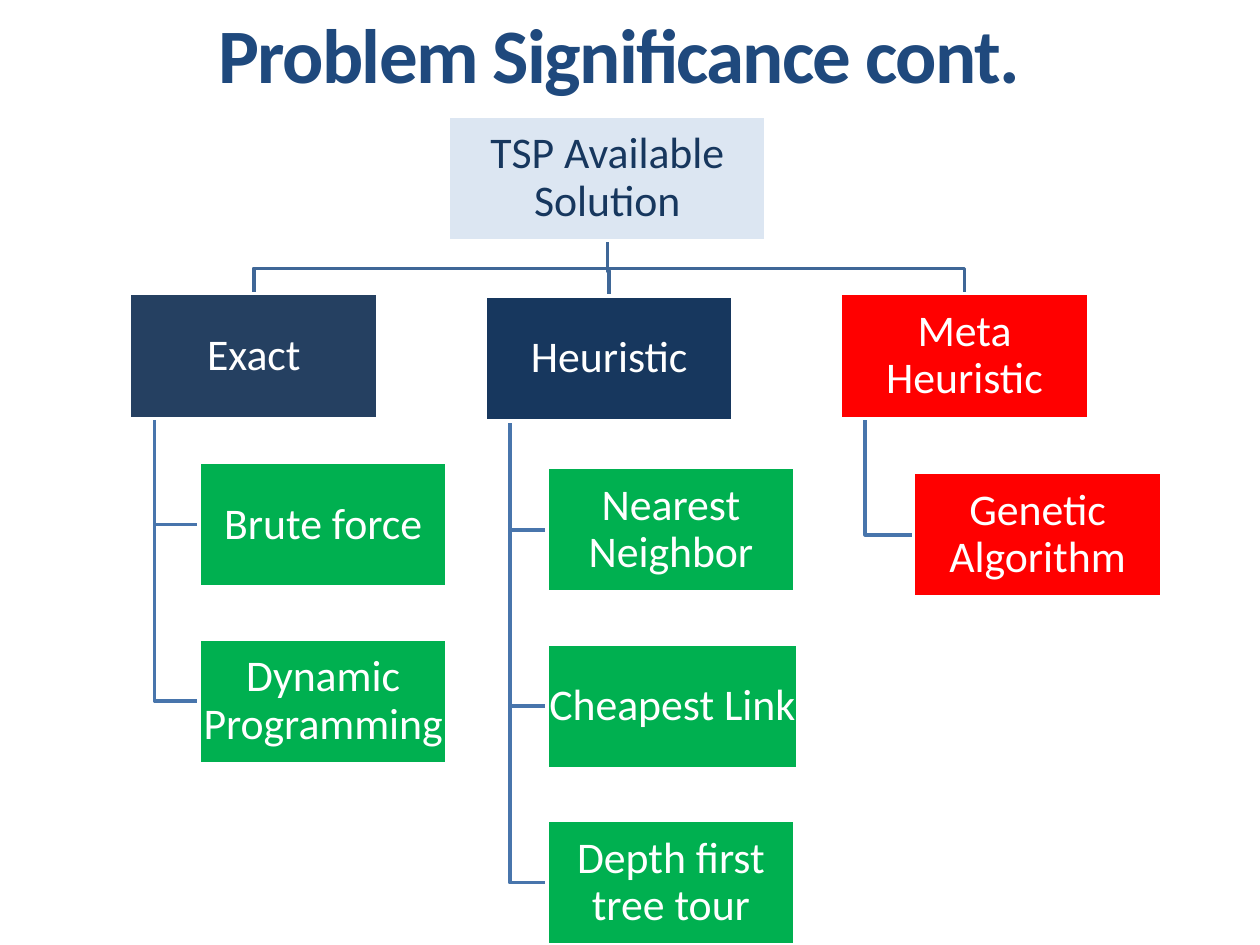
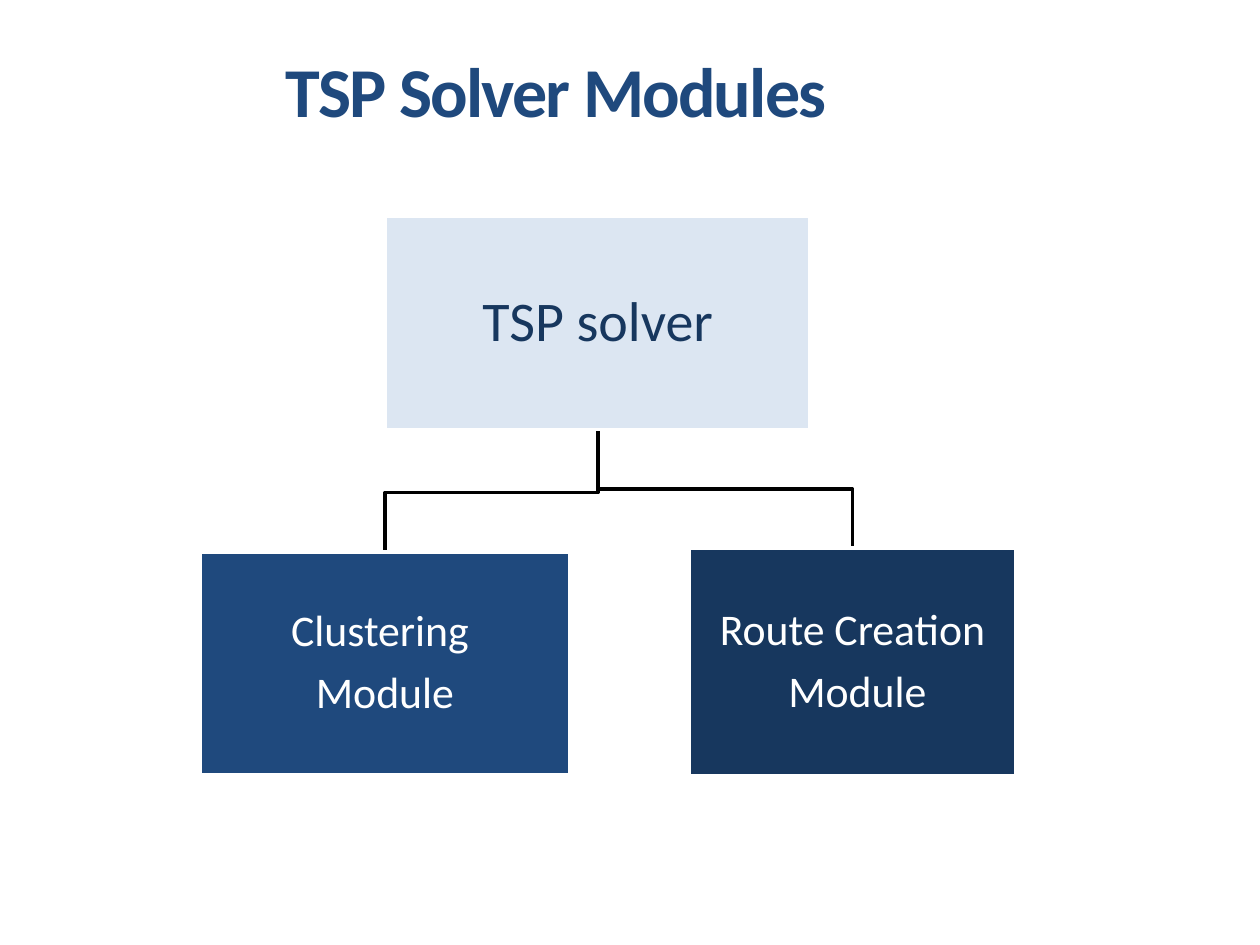
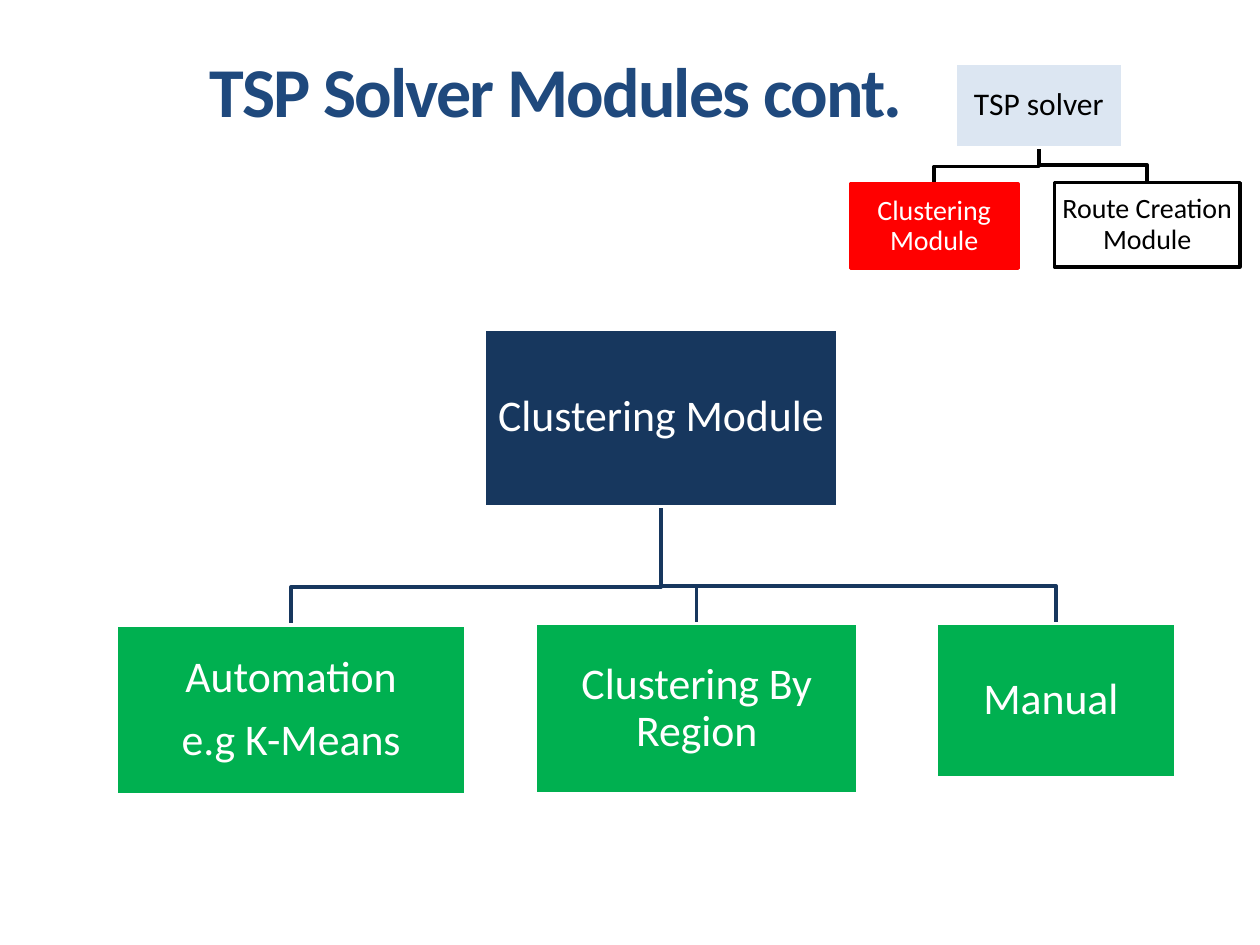
from dataclasses import dataclass, field

from pptx import Presentation
from pptx.dml.color import RGBColor
from pptx.enum.shapes import MSO_SHAPE
from pptx.enum.text import MSO_ANCHOR, PP_ALIGN
from pptx.util import Inches, Pt

NAVY = "17375E"
BLUE = "1F497D"
SLATE = "254061"
PALE = "DCE6F2"
GREEN = "00B050"
RED = "FF0000"
WHITE = "FFFFFF"
BLACK = "000000"
BRANCH_BLUE = "3F6797"
LEAF_BLUE = "4875AC"

TITLE_FONT = {"name": "Calibri", "bold": True}
NODE_FONT = {"name": "Calibri"}
TITLE_FRAME = {"word_wrap": True, "vertical_anchor": MSO_ANCHOR.MIDDLE}
NODE_FRAME = TITLE_FRAME | {
    f"margin_{side}": Inches(0.01) for side in ("left", "top", "right", "bottom")
}


@dataclass
class Box:
    """A rectangle in inches."""

    left: float
    top: float
    width: float
    height: float

    @property
    def center(self):
        """Return the horizontal centre."""
        return self.left + self.width / 2

    @property
    def middle(self):
        """Return the vertical centre."""
        return self.top + self.height / 2

    @property
    def bottom(self):
        """Return the lower edge."""
        return self.top + self.height

    def moved_to(self, region):
        """Return this box shifted to the origin of a region."""
        return Box(region.left + self.left, region.top + self.top, self.width, self.height)

    def lengths(self):
        """Return left, top, width and height as lengths."""
        return [Inches(value) for value in (self.left, self.top, self.width, self.height)]


@dataclass
class Node:
    """A labelled tree node, placed relative to its tree's region."""

    text: str
    box: Box
    fill: str
    color: str = WHITE
    size: int = 25
    outline: str = WHITE
    leaves: list = field(default_factory=list)


def rgb(value):
    """Turn a hex string into a colour."""
    return RGBColor.from_string(value)


def apply_format(target, values):
    """Set every attribute named in a dict."""
    for name, value in values.items():
        setattr(target, name, value)


def style_line(shape, color):
    """Give a shape a two-point line and no shadow."""
    shape.shadow.inherit = False
    shape.line.color.rgb = rgb(color)
    shape.line.width = Pt(2)


def write_text(frame, text, frame_format, font_format, color):
    """Write centred paragraphs, one for each line of text."""
    apply_format(frame, frame_format)
    frame.text = text
    for paragraph in frame.paragraphs:
        paragraph.alignment = PP_ALIGN.CENTER
        for run in paragraph.runs:
            apply_format(run.font, font_format)
            run.font.color.rgb = rgb(color)


def add_title(slide, text, box, size):
    """Add the bold, tightly spaced slide title."""
    frame = slide.shapes.add_textbox(*box.lengths()).text_frame
    write_text(frame, text, TITLE_FRAME, TITLE_FONT | {"size": Pt(size)}, BLUE)
    for run in frame.paragraphs[0].runs:
        run._r.get_or_add_rPr().set("spc", "-100")


def add_polyline(slide, points, color):
    """Draw an open line through points given in inches."""
    start, *rest = [(Inches(x), Inches(y)) for x, y in points]
    builder = slide.shapes.build_freeform(*start)
    builder.add_line_segments(rest, close=False)
    line = builder.convert_to_shape()
    line.fill.background()
    style_line(line, color)


def add_branch(slide, parent, child, rise, color):
    """Link a parent's foot to a child's head, bending above the child."""
    bend = child.top - rise
    points = [
        (parent.center, parent.bottom),
        (parent.center, bend),
        (child.center, bend),
        (child.center, child.top),
    ]
    add_polyline(slide, points, color)


def add_leaf_line(slide, parent, leaf):
    """Link a parent's lower left to the side of a hanging leaf."""
    trunk = parent.left + parent.width / 10
    points = [(trunk, parent.bottom), (trunk, leaf.middle), (leaf.left, leaf.middle)]
    add_polyline(slide, points, LEAF_BLUE)


def add_node(slide, node, region):
    """Draw one node as a filled rectangle with its label."""
    shape = slide.shapes.add_shape(MSO_SHAPE.RECTANGLE, *node.box.moved_to(region).lengths())
    shape.fill.solid()
    shape.fill.fore_color.rgb = rgb(node.fill)
    style_line(shape, node.outline)
    font_format = NODE_FONT | {"size": Pt(node.size)}
    write_text(shape.text_frame, node.text, NODE_FRAME, font_format, node.color)
    for paragraph in shape.text_frame.paragraphs:
        paragraph.line_spacing = 0.9
        paragraph.space_after = Pt(0.35 * node.size)


def add_tree(slide, region, root, branches, rise, color):
    """Draw a root, its branches and their leaves, lines at the back."""
    root_box = root.box.moved_to(region)
    for branch in branches:
        branch_box = branch.box.moved_to(region)
        add_branch(slide, root_box, branch_box, rise, color)
        for leaf in branch.leaves:
            add_leaf_line(slide, branch_box, leaf.box.moved_to(region))
    for node in [root, *branches]:
        for member in [node, *node.leaves]:
            add_node(slide, member, region)


def hang_leaves(texts, left, top, fill):
    """Stack leaf nodes at an equal pitch."""
    return [
        Node(text, Box(left, top + 1.4 * row, 1.99 if text == "Cheapest Link" else 1.97, 0.99), fill)
        for row, text in enumerate(texts)
    ]


def add_solutions_slide(slide):
    """Build the overview of available solutions."""
    add_title(slide, "Problem Significance cont.", Box(1, 0, 7.83, 0.84), 44)
    columns = [
        ("Exact", 1.41, SLATE, ["Brute force", "Dynamic Programming"], 0.55, 2.75, GREEN),
        (
            "Heuristic", 1.43, NAVY,
            ["Nearest Neighbor", "Cheapest Link", "Depth first tree tour"], 3.31, 2.79, GREEN,
        ),
        ("Meta Heuristic", 1.41, RED, ["Genetic Algorithm"], 6.22, 2.83, RED),
    ]
    branches = [
        Node(
            text, Box(2.82 * column, top, 1.97, 0.99), fill,
            leaves=hang_leaves(leaves, leaf_left, leaf_top, leaf_fill),
        )
        for column, (text, top, fill, leaves, leaf_left, leaf_top, leaf_fill) in enumerate(columns)
    ]
    root = Node("TSP Available Solution", Box(2.53, 0, 2.52, 0.99), PALE, NAVY)
    add_tree(slide, Box(1.03, 0.92, 8.19, 6.58), root, branches, 0.2, BRANCH_BLUE)


def add_modules_slide(slide):
    """Build the tree of solver modules."""
    add_title(slide, "TSP Solver Modules", Box(0.5, 0.25, 7.83, 0.92), 40)
    root = Node("TSP solver", Box(1.47, 0, 3.37, 1.69), PALE, NAVY, 32)
    branches = [
        Node("Clustering \nModule", Box(0, 2.66, 2.93, 1.77), BLUE),
        Node("Route Creation\n Module", Box(3.88, 2.63, 2.59, 1.81), NAVY),
    ]
    add_tree(slide, Box(1.59, 1.72, 6.47, 4.44), root, branches, 0.47, BLACK)


def add_clustering_slide(slide):
    """Build the clustering tree with a small locator tree."""
    add_title(slide, "TSP Solver Modules cont.", Box(0.5, 0.25, 7.83, 0.92), 40)
    solver = Node("TSP solver", Box(0.83, 0, 1.33, 0.67), PALE, BLACK, 18)
    modules = [
        Node("Clustering Module", Box(0, 0.96, 1.33, 0.67), RED, WHITE, 16, RED),
        Node("Route Creation Module", Box(1.62, 0.95, 1.47, 0.67), WHITE, BLACK, 16, BLACK),
    ]
    add_tree(slide, Box(6.75, 0.5, 3.09, 1.63), solver, modules, 0.14, BLACK)

    clustering = Node("Clustering Module", Box(2.92, 0, 2.81, 1.41), NAVY)
    methods = [
        Node("Automation\ne.g K-Means", Box(0, 2.35, 2.78, 1.35), GREEN),
        Node("Clustering By Region", Box(3.33, 2.34, 2.56, 1.35), GREEN),
        Node("Manual ", Box(6.51, 2.34, 1.9, 1.22), GREEN),
    ]
    add_tree(slide, Box(0.92, 2.61, 8.41, 3.7), clustering, methods, 0.3, NAVY)


def main():
    """Build and save the presentation."""
    presentation = Presentation()
    presentation.slide_width = Inches(10)
    presentation.slide_height = Inches(7.5)
    for build in (add_solutions_slide, add_modules_slide, add_clustering_slide):
        build(presentation.slides.add_slide(presentation.slide_layouts[6]))
    presentation.save("out.pptx")


if __name__ == "__main__":
    main()
